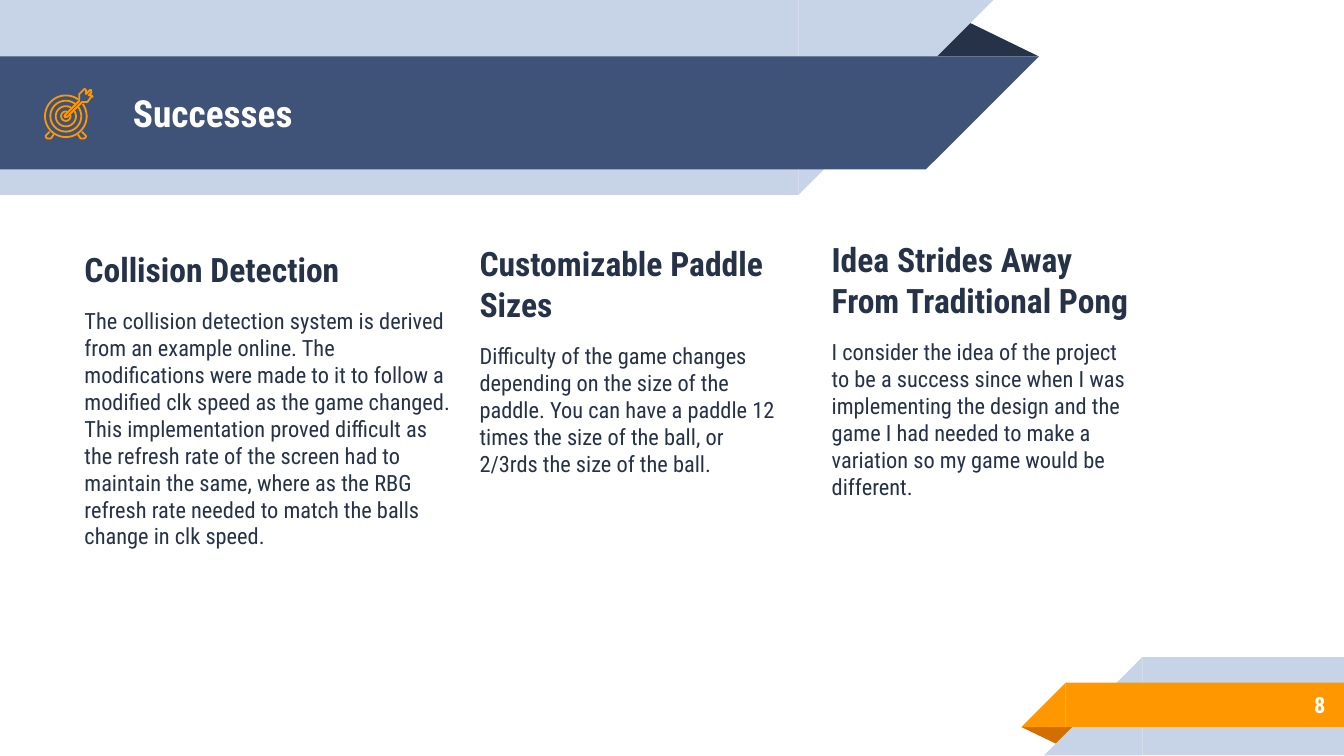
import math
from pptx import Presentation
from pptx.dml.color import RGBColor
from pptx.enum import shapes, text
from pptx.oxml.ns import qn
from pptx.util import Inches, Pt

FONT = "Roboto Condensed"
HUE = {"navy": "263248", "blue": "3F5378", "pale": "C7D3E6",
       "orange": "FF9800", "rust": "D26F00", "white": "FFFFFF"}

TITLE = "Successes"
PAGE = "8"
# left, top, width, heading, body
COLS = [
    (0.53, 1.75, 2.95, "Collision Detection",
     "The collision detection system is derived from an example online. "
     "The modifications were made to it to follow a modified clk speed as "
     "the game changed. This implementation proved difficult as the refresh "
     "rate of the screen had to maintain the same, where as the RBG refresh "
     "rate needed to match the balls change in clk speed."),
    (3.47, 1.71, 2.46, "Customizable Paddle Sizes",
     "Difficulty of the game changes depending on the size of the paddle. "
     "You can have a paddle 12 times the size of the ball, or 2/3rds the "
     "size of the ball."),
    (6.09, 1.68, 2.46, "Idea Strides Away From Traditional Pong",
     "I consider the idea of the project to be a success since when I was "
     "implementing the design and the game I had needed to make a variation "
     "so my game would be different."),
]

# Ribbon folds: left, top, width, height, turn, colour
FOLDS = {"top": (6.88, 0.14, 0.85, 0.28, 0, "navy"),
         "foot": (7.6, 5.41, 0.43, 0.14, 180, "rust")}
# Ribbon bands: slant start, top, height, colour
TOP = [(5.94, 0, 1.45, "pale"), (6.89, 0.42, 0.84, "blue")]
FOOT = [(8.5, 4.89, 0.73, "pale"), (7.93, 5.08, 0.33, "orange")]

# Target icon: ring radius and half of its gap in degrees
HUB = (0.49, 0.865)
RINGS = [(0.155, 9), (0.115, 9), (0.075, 15), (0.035, 32)]
FEET = [
    [(0.37, 0.98), (0.35, 1), (0.34, 1.01), (0.34, 1.02), (0.35, 1.03),
     (0.36, 1.03), (0.37, 1.03), (0.38, 1.03), (0.4, 1)],
    [(0.58, 1), (0.6, 1.03), (0.61, 1.03), (0.62, 1.03), (0.63, 1.03),
     (0.64, 1.02), (0.64, 1.01), (0.63, 1), (0.61, 0.98)],
]
DART = [(0.68, 0.71), (0.66, 0.71), (0.68, 0.69), (0.68, 0.67), (0.67, 0.67),
        (0.64, 0.7), (0.64, 0.67), (0.63, 0.66), (0.59, 0.7), (0.59, 0.72),
        (0.59, 0.75), (0.48, 0.86), (0.48, 0.87), (0.49, 0.87), (0.5, 0.87),
        (0.61, 0.76), (0.63, 0.76), (0.65, 0.76), (0.68, 0.72), (0.69, 0.72)]

# Slide in 16:9
deck = Presentation()
deck.slide_width = Inches(10)
deck.slide_height = Inches(10 * 9 / 16)
slide = deck.slides.add_slide(deck.slide_layouts[6])
kind = shapes.MSO_SHAPE


def rgb(hue):
    return RGBColor.from_string(HUE[hue])


def block(form, x, y, w, h, hue, turn=0, flip=False):
    part = slide.shapes.add_shape(form, *map(Inches, (x, y, w, h)))
    part.shadow.inherit = False
    part.fill.solid()
    part.fill.fore_color.rgb = rgb(hue)
    part.line.fill.background()
    part.rotation = turn
    if flip:
        part._element.spPr.find(qn("a:xfrm")).set("flipH", "1")
    return part


def fold(name):
    x, y, w, h, turn, hue = FOLDS[name]
    part = block(kind.ISOSCELES_TRIANGLE, x, y, w, h, hue, turn)
    part.adjustments[0] = 0.324


def write(x, y, w, h, paras, anchor=text.MSO_ANCHOR.TOP,
          align=text.PP_ALIGN.LEFT):
    """Each para: words, size, bold, colour, space before, space after."""
    frame = slide.shapes.add_textbox(*map(Inches, (x, y, w, h))).text_frame
    frame.word_wrap = True
    frame.vertical_anchor = anchor
    frame.margin_left = frame.margin_right = Inches(0.1)
    frame.margin_top = frame.margin_bottom = Inches(0.1)
    for i, (words, size, bold, hue, above, below) in enumerate(paras):
        para = frame.add_paragraph() if i else frame.paragraphs[0]
        para.text, para.alignment = words, align
        para.space_before, para.space_after = Pt(above), Pt(below)
        font = para.font
        font.name, font.size, font.bold = FONT, Pt(size), bold
        font.color.rgb = rgb(hue)


def draw(dots, close=False):
    dots = [(Inches(x), Inches(y)) for x, y in dots]
    pen = slide.shapes.build_freeform(*dots[0])
    pen.add_line_segments(dots[1:], close=close)
    part = pen.convert_to_shape()
    part.shadow.inherit = False
    part.fill.background()
    part.line.color.rgb = rgb("orange")
    part.line.width = Pt(0.96)


def ring(radius, gap):
    steps = 60
    turns = [math.radians(45 + gap + (360 - 2 * gap) * i / steps)
             for i in range(steps + 1)]
    return [(HUB[0] + radius * math.cos(a), HUB[1] - radius * math.sin(a))
            for a in turns]


# Top ribbon
fold("top")
for x, y, h, hue in TOP:
    block(kind.RECTANGLE, 0, y, x, h, hue)
    block(kind.RIGHT_TRIANGLE, x, y, h, h, hue, 180, True)

# Foot ribbon
fold("foot")
for x, y, h, hue in FOOT:
    block(kind.RECTANGLE, x, y, 10 - x, h, hue)
    block(kind.RIGHT_TRIANGLE, x - h, y, h, h, hue, flip=True)

# Title, columns and page number
mid = text.MSO_ANCHOR.MIDDLE
write(0.89, 0.42, 5.75, 0.84, [(TITLE, 20, True, "white", 0, 0)], mid)
for x, y, w, head, body in COLS:
    write(x, y, w, 1.66, [(head, 18, True, "navy", 6, 0),
                          (body, 12, False, "navy", 10, 10)])
write(8.33, 5.07, 1.63, 0.35, [(PAGE, 12, True, "white", 0, 0)], mid,
      text.PP_ALIGN.RIGHT)

# Target icon
for radius, gap in RINGS:
    draw(ring(radius, gap))
for foot in FEET:
    draw(foot)
draw(DART, close=True)

deck.save("out.pptx")
